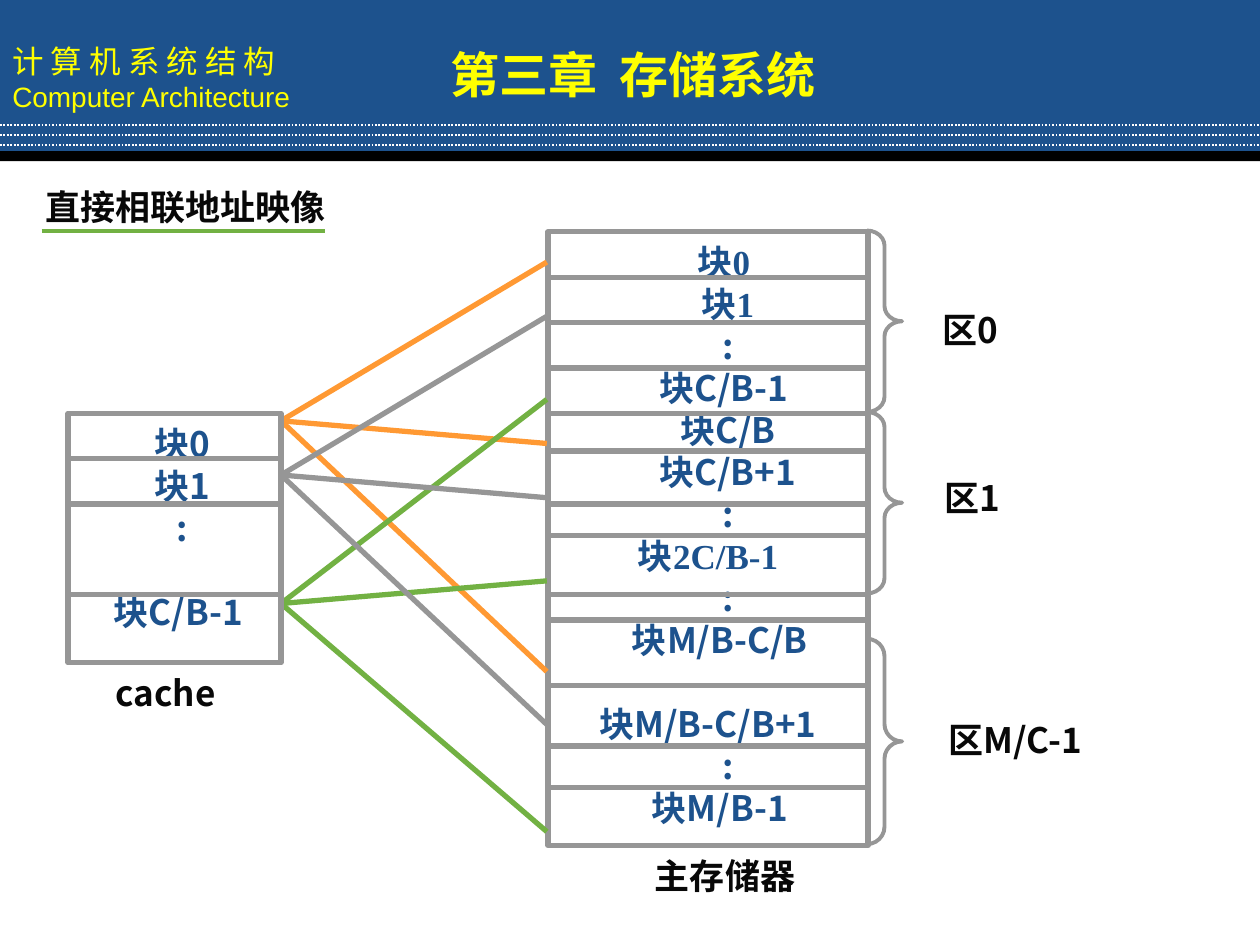
from typing import NamedTuple, Optional, Sequence

from lxml.etree import SubElement
from pptx import Presentation
from pptx.dml.color import RGBColor
from pptx.enum.dml import MSO_LINE
from pptx.enum.shapes import MSO_CONNECTOR, MSO_SHAPE
from pptx.enum.text import MSO_ANCHOR, MSO_AUTO_SIZE, PP_ALIGN
from pptx.oxml.ns import qn
from pptx.util import Inches, Pt

# The slide is a grid of 100 columns by 75 rows, each 0.1 inch.
UNIT = Inches(0.1)
BLUE, YELLOW, GREY, INK = "1D528D", "FFFF00", "969696", "080808"
ORANGE, GREEN, WHITE, BLACK = "FF9933", "72B143", "FFFFFF", "000000"
SANS, SERIF, ARIAL = "Noto Sans CJK SC", "Times New Roman", "Arial"
INDENT_STEP = Inches(0.0625)
LINE_PITCH = 24


class Area(NamedTuple):
    left: float
    top: float
    width: float
    height: float


class Block(NamedTuple):
    label: str
    indent: int
    font: str = SANS
    skipped_lines: int = 0


class Memory(NamedTuple):
    area: Area
    blocks: Sequence[Block]
    dividers: Sequence[float]
    caption: str
    caption_area: Area


class Mapping(NamedTuple):
    colour: str
    cache_row: float
    memory_rows: Sequence[float]


class Zone(NamedTuple):
    label: str
    label_area: Area
    brace: Area
    curl: float


CACHE = Memory(
    Area(5.4, 32.8, 16.9, 19.8),
    [Block("块0", 2), Block("块1", 2), Block(":", 2),
     Block("块C/B-1", 1, skipped_lines=1)],
    [36.4, 40, 47.2], "cache", Area(5.4, 52.6, 15.5, 5.4))
MAIN_MEMORY = Memory(
    Area(43.5, 18.4, 25.4, 48.7),
    [Block("块0", 4, SERIF), Block("块1", 5, SERIF), Block(":", 5),
     Block("块C/B-1", 4), Block("块C/B", 5), Block("块C/B+1", 5), Block(":", 5),
     Block("块2C/B-1", 0, SERIF), Block(":", 5), Block("块M/B-C/B", 3),
     Block("块M/B-C/B+1", 0, skipped_lines=1), Block(":", 5), Block("块M/B-1", 3)],
    [22, 25.6, 29.2, 32.8, 35.8, 40, 42.5, 47.2, 49.2, 54.4, 59.2, 62.5],
    "主存储器", Area(47.7, 67.1, 19.7, 5.4))
MAPPINGS = [
    Mapping(ORANGE, 33.4, [20.8, 35.2, 53.3]),
    Mapping(GREEN, 47.9, [66, 46.1, 31.7]),
    Mapping(GREY, 37.7, [25.1, 57.5, 39.5]),
]
ZONES = [
    Zone("区0", Area(72.8, 23.8, 8.4, 5.4), Area(68.8, 18.3, 2.8, 14.4), 0.43),
    Zone("区1", Area(72.9, 37.1, 8.5, 5.4), Area(68.8, 32.7, 2.8, 14.4), 0.43),
    Zone("区M/C-1", Area(72.9, 56.3, 15.4, 5.4), Area(68.8, 50.7, 2.8, 16.3), 0.49),
]


def grid(*counts: float) -> list[int]:
    return [round(count * UNIT) for count in counts]


def rgb(colour: str) -> RGBColor:
    return RGBColor.from_string(colour)


def add_run(paragraph, text: str, size: float, colour: str, font: str = SANS,
            bold: bool = True):
    run = paragraph.add_run()
    run.text = text
    run.font.size, run.font.bold, run.font.name = Pt(size), bold, font
    run.font.color.rgb = rgb(colour)
    SubElement(run.font._element, qn("a:ea")).set("typeface", SANS)
    return run


def add_line(slide, start: tuple, end: tuple, colour: str, weight: float):
    line = slide.shapes.add_connector(MSO_CONNECTOR.STRAIGHT, *grid(*start, *end))
    line.line.color.rgb, line.line.width = rgb(colour), Pt(weight)
    SubElement(line._element.spPr, qn("a:effectLst"))
    return line


def add_preset(slide, preset: MSO_SHAPE, area: Area, fill: Optional[str] = None,
               outline: Optional[str] = None, weight: float = 0):
    shape = slide.shapes.add_shape(preset, *grid(*area))
    shape.shadow.inherit = False
    if fill:
        shape.fill.solid()
        shape.fill.fore_color.rgb = rgb(fill)
    else:
        shape.fill.background()
    if outline:
        shape.line.color.rgb, shape.line.width = rgb(outline), Pt(weight)
    else:
        shape.line.fill.background()
    return shape


def add_label(slide, text: str, area: Area, align: PP_ALIGN = PP_ALIGN.CENTER) -> None:
    frame = slide.shapes.add_textbox(*grid(*area)).text_frame
    frame.word_wrap, frame.margin_top = True, Inches(0.07)
    paragraph = frame.paragraphs[0]
    paragraph.alignment, paragraph.line_spacing = align, Pt(LINE_PITCH)
    add_run(paragraph, text, 20, INK)


def add_memory(slide, memory: Memory) -> None:
    area = memory.area
    frame = add_preset(slide, MSO_SHAPE.RECTANGLE, area, None, GREY, 3).text_frame
    frame.word_wrap, frame.vertical_anchor = True, MSO_ANCHOR.TOP
    frame.margin_top = Inches(0.07)
    for index, block in enumerate(memory.blocks):
        paragraph = frame.add_paragraph() if index else frame.paragraphs[0]
        paragraph.alignment, paragraph.line_spacing = PP_ALIGN.CENTER, Pt(LINE_PITCH)
        paragraph._p.get_or_add_pPr().set("marL", str(int(block.indent * INDENT_STEP)))
        if block.skipped_lines:
            paragraph.space_before = Pt(block.skipped_lines * LINE_PITCH)
        add_run(paragraph, block.label, 20, BLUE, block.font)
    for row in memory.dividers:
        add_line(slide, (area.left, row), (area.left + area.width, row), GREY, 3)
    add_label(slide, memory.caption, memory.caption_area)


def add_zone(slide, zone: Zone) -> None:
    brace = add_preset(slide, MSO_SHAPE.RIGHT_BRACE, zone.brace, None, GREY, 2.25)
    brace.adjustments[0], brace.adjustments[1] = zone.curl, 0.5
    add_label(slide, zone.label, zone.label_area)


def add_mapping(slide, mapping: Mapping) -> None:
    for row in mapping.memory_rows:
        add_line(slide, (22.3, mapping.cache_row), (43.4, row), mapping.colour, 3)


def add_header(slide) -> None:
    band = add_preset(slide, MSO_SHAPE.RECTANGLE, Area(0, 0, 100, 12.3), BLUE)
    frame = band.text_frame
    frame.vertical_anchor = MSO_ANCHOR.MIDDLE
    chinese, english = frame.paragraphs[0], frame.add_paragraph()
    chinese.alignment = english.alignment = PP_ALIGN.LEFT
    add_run(chinese, "计 算 机 系 统 结 构", 18, YELLOW, bold=False)
    add_run(english, "Computer Architecture", 16, YELLOW, ARIAL, False)
    add_preset(slide, MSO_SHAPE.RECTANGLE, Area(0, 12, 100, 0.8), BLACK)
    for row in (9.9, 10.7, 11.5):
        rule = add_line(slide, (0, row), (100, row), WHITE, 1)
        rule.line.dash_style = MSO_LINE.ROUND_DOT


def place_title(slide) -> None:
    title = slide.shapes.title
    title.left, title.top, title.width, title.height = grid(32.2, 1.8, 36.1, 6.5)
    title.fill.solid()
    title.fill.fore_color.rgb = rgb(BLUE)
    frame = title.text_frame
    frame.auto_size, frame.vertical_anchor = MSO_AUTO_SIZE.NONE, MSO_ANCHOR.BOTTOM
    frame.margin_bottom = Inches(0.01)
    paragraph = frame.paragraphs[0]
    paragraph.alignment = PP_ALIGN.CENTER
    add_run(paragraph, "第三章", 28, YELLOW)
    gap = add_run(paragraph, " ", 28, YELLOW)
    gap.font._element.set("spc", "630")
    add_run(paragraph, "存储系统", 28, YELLOW)
    slide.shapes._spTree.append(title._element)  # in front of the header band


def main() -> None:
    deck = Presentation()
    deck.slide_width, deck.slide_height = grid(100, 75)
    slide = deck.slides.add_slide(deck.slide_layouts[5])
    add_header(slide)
    add_label(slide, "直接相联地址映像", Area(2.6, 14, 37.4, 4.4), PP_ALIGN.LEFT)
    add_line(slide, (3.3, 18.3), (25.8, 18.3), GREEN, 2.25)
    for zone in ZONES:
        add_zone(slide, zone)
    add_memory(slide, MAIN_MEMORY)
    for mapping in MAPPINGS:
        add_mapping(slide, mapping)
    add_memory(slide, CACHE)
    place_title(slide)
    deck.save("out.pptx")


if __name__ == "__main__":
    main()
